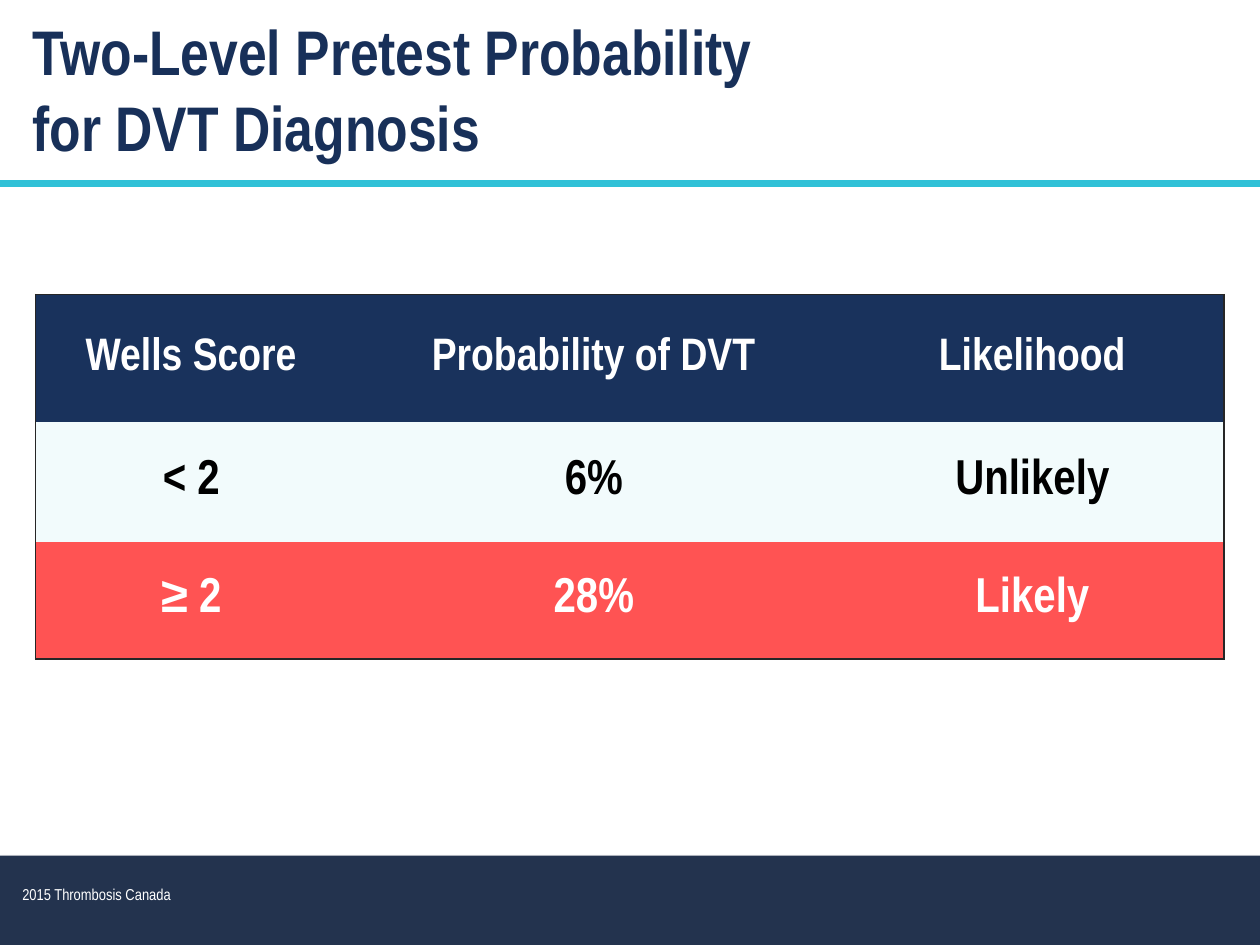
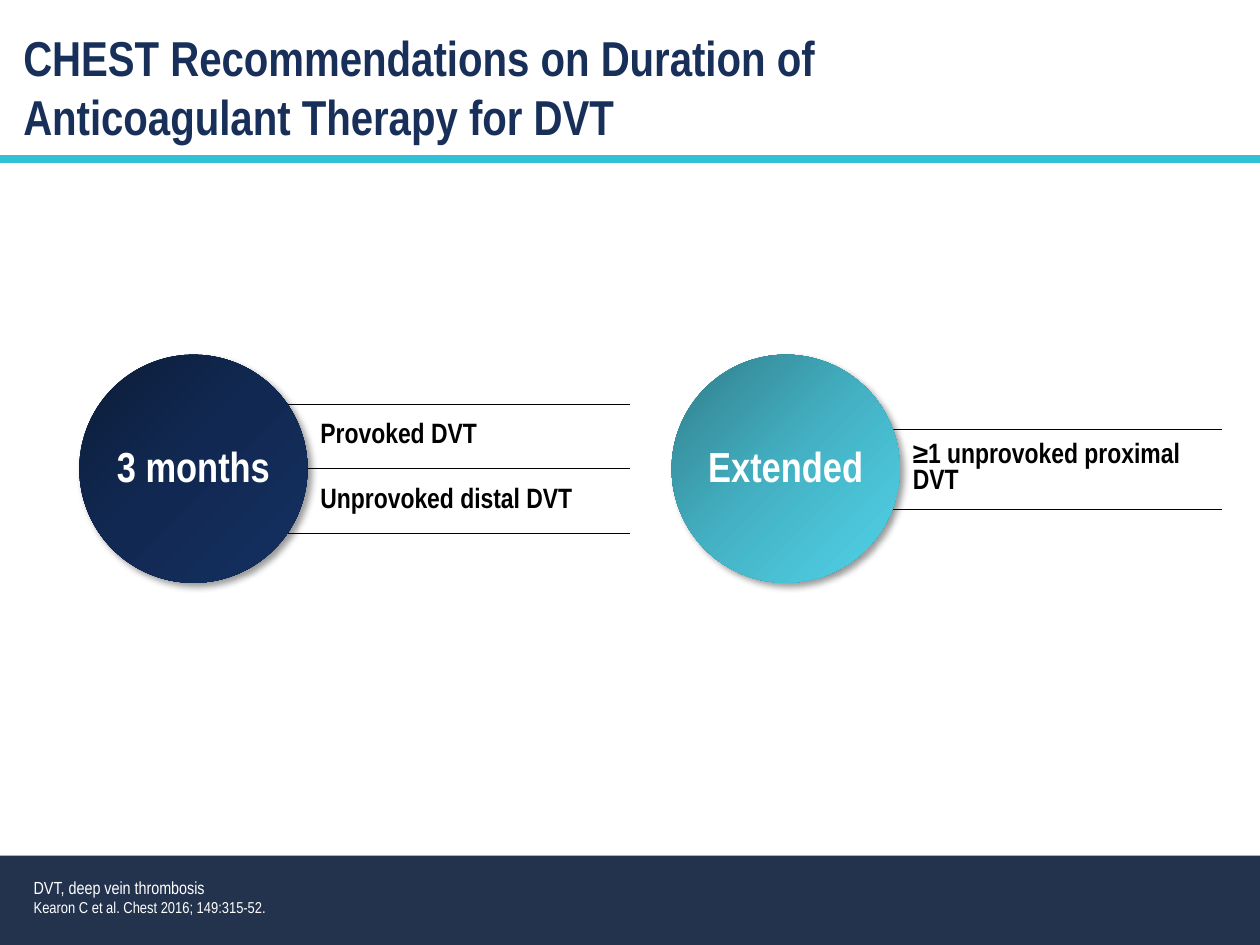
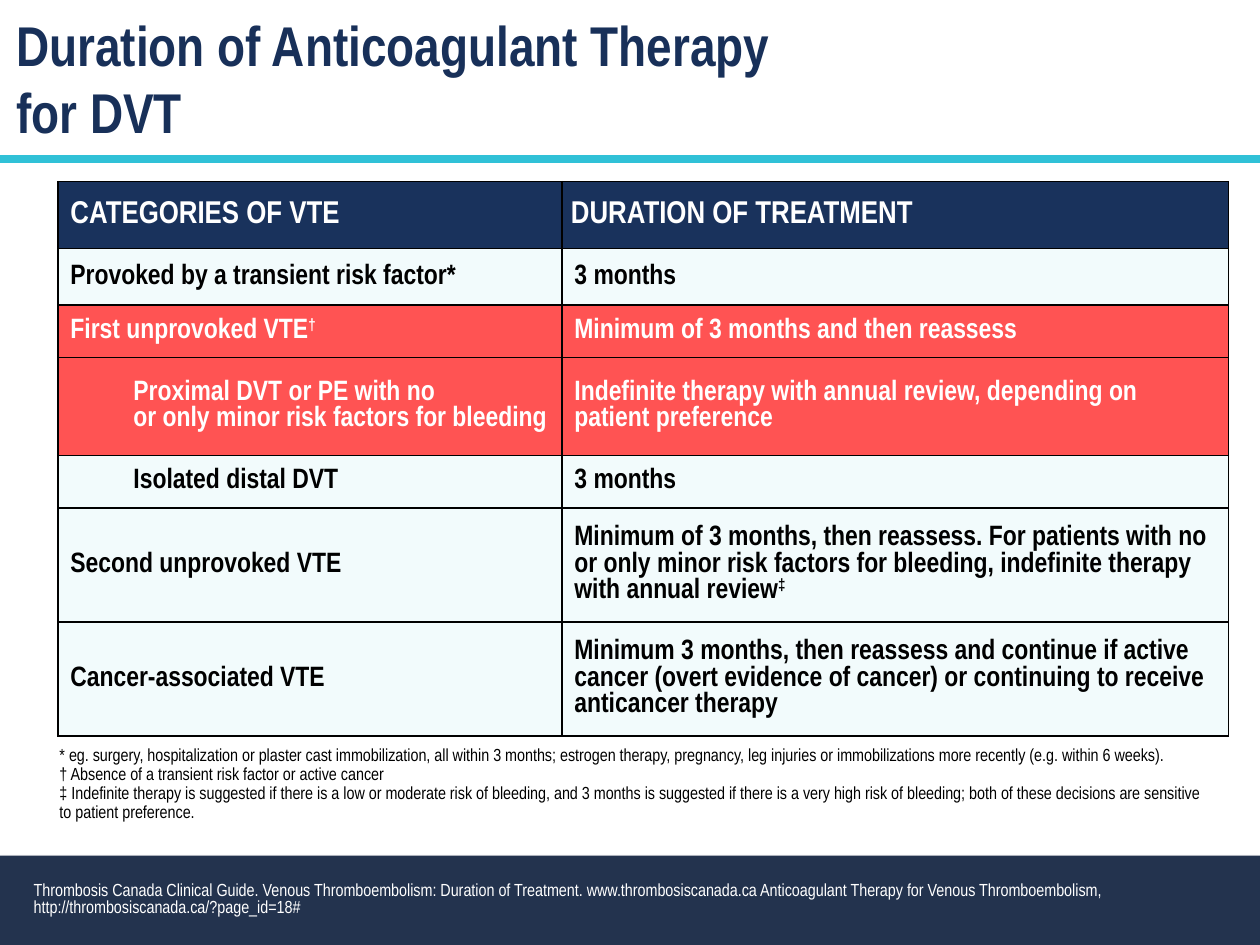
from dataclasses import dataclass

from pptx import Presentation
from pptx import util as u
from pptx.dml.color import RGBColor
from pptx.enum import shapes, text
from pptx.oxml import ns, parse_xml
from pptx.util import Cm

LEFT, CENTER = text.PP_ALIGN.LEFT, text.PP_ALIGN.CENTER
TOP, MIDDLE, BOTTOM = (text.MSO_ANCHOR.TOP, text.MSO_ANCHOR.MIDDLE,
                       text.MSO_ANCHOR.BOTTOM)
NO_STYLE = "{2D5ABB26-0587-4C30-8999-92F81FD0307C}"


@dataclass(frozen=True)
class Theme:
    font: str = "Arial Narrow"
    title: str = "183059"
    band: str = "23334E"
    rule: str = "30C1D7"
    header: str = "19325C"
    pale: str = "F2FBFC"
    alert: str = "FF5353"
    white: str = "FFFFFF"
    black: str = "000000"
    outline: str = "262626"
    navy_blend: tuple = ("0C1D39", "112952", "143161")
    teal_blend: tuple = ("307D8A", "44B2C4", "51D3E9")
    rule_width: float = 4.5
    circle_size: int = 24
    body_size: int = 16
    note_size: int = 10
    small_size: int = 9


THEME = Theme()


@dataclass
class Row:
    height: float
    texts: tuple
    fill: str = THEME.pale
    color: str = THEME.black
    size: int = THEME.body_size
    first_indent: float = 0


# Text

def write(frame, content, size, color, bold=False, align=LEFT, spacing=None,
          before=0, indent=0):
    """Add a paragraph; a newline breaks the line, ^ starts or ends superscript."""
    is_first = not frame.text
    paragraph = frame.paragraphs[0] if is_first else frame.add_paragraph()
    paragraph.alignment = align
    if spacing:
        paragraph.line_spacing = spacing
    if before and not is_first:
        paragraph.space_before = u.Pt(before)
    if indent:
        paragraph._p.get_or_add_pPr().set("marL", str(Cm(indent)))
    for line_number, line in enumerate(content.split("\n")):
        if line_number:
            paragraph.add_line_break()
        for part_number, part in enumerate(line.split("^")):
            if not part:
                continue
            run = paragraph.add_run()
            run.text = part
            run.font.name = THEME.font
            run.font.size = u.Pt(size)
            run.font.bold = bold
            run.font.color.rgb = RGBColor.from_string(color)
            if part_number % 2:
                run.font._element.set("baseline", "30000")


def add_text_frame(slide, left, top, width, height, anchor=TOP):
    frame = slide.shapes.add_textbox(
        Cm(left), Cm(top), Cm(width), Cm(height)).text_frame
    frame.word_wrap = True
    frame.vertical_anchor = anchor
    return frame


# Shape effects

def add_shadow(shape, opacity, blur, distance, angle):
    shape._element.spPr.append(parse_xml(
        f'<a:effectLst {ns.nsdecls("a")}>'
        f'<a:outerShdw blurRad="{u.Pt(blur)}" dist="{u.Pt(distance)}" '
        f'dir="{angle * 60000}" algn="ctr" rotWithShape="0">'
        f'<a:srgbClr val="{THEME.black}"><a:alpha val="{opacity * 1000}"/>'
        '</a:srgbClr></a:outerShdw></a:effectLst>'))


def fill_gradient(shape, colors, angle=45):
    step = 100000 // (len(colors) - 1)
    stops = "".join(
        f'<a:gs pos="{number * step}"><a:srgbClr val="{color}"/></a:gs>'
        for number, color in enumerate(colors))
    geometry = shape._element.spPr.find(ns.qn("a:prstGeom"))
    geometry.addnext(parse_xml(
        f'<a:gradFill {ns.nsdecls("a")} rotWithShape="1">'
        f'<a:gsLst>{stops}</a:gsLst>'
        f'<a:lin ang="{angle * 60000}" scaled="0"/></a:gradFill>'))


# Shared slide parts

def add_slide(presentation, title, title_box, title_size, rule_top):
    slide = presentation.slides.add_slide(presentation.slide_layouts[6])
    width = presentation.slide_width

    band = slide.shapes.add_shape(
        shapes.MSO_SHAPE.RECTANGLE, 0, Cm(17.25), width, Cm(1.8))
    band.fill.solid()
    band.fill.fore_color.rgb = RGBColor.from_string(THEME.band)
    band.line.fill.background()
    add_shadow(band, opacity=35, blur=3.1, distance=1.8, angle=90)

    write(add_text_frame(slide, *title_box), title, title_size, THEME.title,
          bold=True)

    rule = slide.shapes.add_connector(
        shapes.MSO_CONNECTOR.STRAIGHT, 0, Cm(rule_top), width, Cm(rule_top))
    rule.line.color.rgb = RGBColor.from_string(THEME.rule)
    rule.line.width = u.Pt(THEME.rule_width)
    rule._element.spPr.append(parse_xml(f'<a:effectLst {ns.nsdecls("a")}/>'))
    return slide


def add_footer(slide, lines, left=0.43, bottom=18.6):
    height = 1.5
    frame = add_text_frame(slide, left, bottom - height, 24.5, height, BOTTOM)
    for content, size in lines:
        write(frame, content, size, THEME.white, spacing=0.8, before=2)


# Tables

def draw_borders(cell, sides, color, width):
    properties = cell._tc.get_or_add_tcPr()
    for side in "LRTB":
        if side in sides:
            properties.append(parse_xml(
                f'<a:ln{side} {ns.nsdecls("a")} w="{u.Pt(width)}">'
                f'<a:solidFill><a:srgbClr val="{color}"/></a:solidFill>'
                f'</a:ln{side}>'))


def outer_sides(row, column, row_count, column_count):
    at_edge = {"L": column == 0, "R": column == column_count - 1,
               "T": row == 0, "B": row == row_count - 1}
    return [side for side, is_edge in at_edge.items() if is_edge]


def add_table(slide, left, top, widths, rows, sides, border_color=THEME.black,
              border_width=1.0, margins=(0.25, 0.13, 0.25, 0.13), align=LEFT):
    """Draw borders on the named sides of each cell, or around it all if None."""
    table = slide.shapes.add_table(
        len(rows), len(widths), Cm(left), Cm(top), Cm(sum(widths)),
        Cm(sum(row.height for row in rows))).table
    table.first_row = table.horz_banding = False
    table._tbl.tblPr.find(ns.qn("a:tableStyleId")).text = NO_STYLE
    for column, width in zip(table.columns, widths):
        column.width = Cm(width)
    for row_number, row in enumerate(rows):
        table.rows[row_number].height = Cm(row.height)
        for column_number, content in enumerate(row.texts):
            cell = table.cell(row_number, column_number)
            draw_borders(
                cell,
                sides or outer_sides(row_number, column_number,
                                     len(rows), len(widths)),
                border_color, border_width)
            if row.fill:
                cell.fill.solid()
                cell.fill.fore_color.rgb = RGBColor.from_string(row.fill)
            else:
                cell.fill.background()
            (cell.margin_left, cell.margin_top, cell.margin_right,
             cell.margin_bottom) = map(Cm, margins)
            cell.vertical_anchor = MIDDLE
            write(cell.text_frame, content, row.size, row.color, bold=True,
                  align=align,
                  indent=0 if column_number else row.first_indent)
    return table


# Circle with its list of indications

def add_duration(slide, left, label, blend, indications, row_height):
    diameter, middle = 4.6, 9.45
    rows = [Row(row_height, (indication,), fill=None)
            for indication in indications]
    add_table(slide, left + 4.1, middle - row_height * len(rows) / 2, (7.0,),
              rows, sides="TB", border_width=0.5,
              margins=(0.76, 0.13, 0.25, 0.13))

    circle = slide.shapes.add_shape(
        shapes.MSO_SHAPE.OVAL, Cm(left), Cm(middle - diameter / 2),
        Cm(diameter), Cm(diameter))
    fill_gradient(circle, blend)
    circle.line.fill.background()
    add_shadow(circle, opacity=40, blur=4, distance=3, angle=45)
    frame = circle.text_frame
    frame.margin_left = frame.margin_right = 0
    frame.word_wrap = True
    frame.vertical_anchor = MIDDLE
    write(frame, label, THEME.circle_size, THEME.white, bold=True,
          align=CENTER, spacing=0.9)


# Slides

def build_probability(presentation):
    slide = add_slide(
        presentation, "Two-Level Pretest Probability\nfor DVT Diagnosis",
        (0.41, 0.13, 19.6, 3.4), 36, rule_top=3.7)
    add_footer(slide, [("2015 Thrombosis Canada", THEME.small_size)],
               left=0.2, bottom=18.35)
    rows = [
        Row(2.57, ("Wells Score", "Probability of DVT", "Likelihood"),
            THEME.header, THEME.white, 26),
        Row(2.41, ("< 2", "6%", "Unlikely"), size=28),
        Row(2.36, ("≥ 2", "28%", "Likely"), THEME.alert, THEME.white, 28),
    ]
    add_table(slide, 0.72, 5.94, (6.27, 9.96, 7.72), rows, sides=None,
              border_color=THEME.outline, margins=(0.3, 0.15, 0.3, 0.15),
              align=CENTER)


def build_recommendations(presentation):
    slide = add_slide(
        presentation,
        "CHEST Recommendations on Duration of Anticoagulant Therapy for DVT",
        (0.22, 0.43, 18.24, 2.64), 28, rule_top=3.2)
    add_footer(slide, [
        ("DVT, deep vein thrombosis", THEME.note_size),
        ("Kearon C et al. Chest 2016; 149:315-52.", THEME.small_size)])
    add_duration(slide, 13.54, "Extended", THEME.teal_blend,
                 ["≥1 unprovoked proximal DVT"], row_height=1.6)
    add_duration(slide, 1.6, "3 months", THEME.navy_blend,
                 ["Provoked DVT", "Unprovoked distal DVT"], row_height=1.3)


def build_duration(presentation):
    slide = add_slide(
        presentation, "Duration of Anticoagulant Therapy\nfor DVT",
        (0.08, 0.08, 18.06, 3.0), 32, rule_top=3.2)
    add_footer(slide, [(
        "Thrombosis Canada Clinical Guide. Venous Thromboembolism: Duration "
        "of Treatment. www.thrombosiscanada.ca Anticoagulant Therapy for "
        "Venous Thromboembolism, http://thrombosiscanada.ca/?page_id=18#",
        THEME.note_size)])
    rows = [
        Row(1.35, ("CATEGORIES OF VTE", "DURATION OF TREATMENT"),
            THEME.header, THEME.white, 18),
        Row(1.14, ("Provoked by a transient risk factor*", "3 months")),
        Row(1.06, ("First unprovoked VTE^†^",
                   "Minimum of 3 months and then reassess"),
            THEME.alert, THEME.white),
        Row(1.97, ("Proximal DVT or PE with no\n"
                   "or only minor risk factors for bleeding",
                   "Indefinite therapy with annual review, depending on "
                   "patient preference"),
            THEME.alert, THEME.white, first_indent=1.27),
        Row(1.06, ("Isolated distal DVT", "3 months"), first_indent=1.27),
        Row(2.3, ("Second unprovoked VTE",
                  "Minimum of 3 months, then reassess. For patients with no "
                  "or only minor risk factors for bleeding, indefinite "
                  "therapy with annual review^‡^")),
        Row(2.3, ("Cancer-associated VTE",
                  "Minimum 3 months, then reassess and continue if active "
                  "cancer (overt evidence of cancer) or continuing to "
                  "receive anticancer therapy")),
    ]
    table = add_table(slide, 1.17, 3.66, (10.16, 13.44), rows, sides="LRTB")
    table.cell(0, 1).margin_left = Cm(0.18)

    notes = add_text_frame(slide, 0.95, 14.92, 23.5, 1.78, MIDDLE)
    for note in (
            "* eg. surgery, hospitalization or plaster cast immobilization, "
            "all within 3 months; estrogen therapy, pregnancy, leg injuries "
            "or immobilizations more recently (e.g. within 6 weeks).",
            "† Absence of a transient risk factor or active cancer",
            "‡ Indefinite therapy is suggested if there is a low or moderate "
            "risk of bleeding, and 3 months is suggested if there is a very "
            "high risk of bleeding; both of these decisions are sensitive "
            "to patient preference."):
        write(notes, note, THEME.note_size, THEME.black, spacing=0.9)


def main():
    presentation = Presentation()
    presentation.slide_width, presentation.slide_height = Cm(25.4), Cm(19.05)
    build_probability(presentation)
    build_recommendations(presentation)
    build_duration(presentation)
    presentation.save("out.pptx")


if __name__ == "__main__":
    main()
